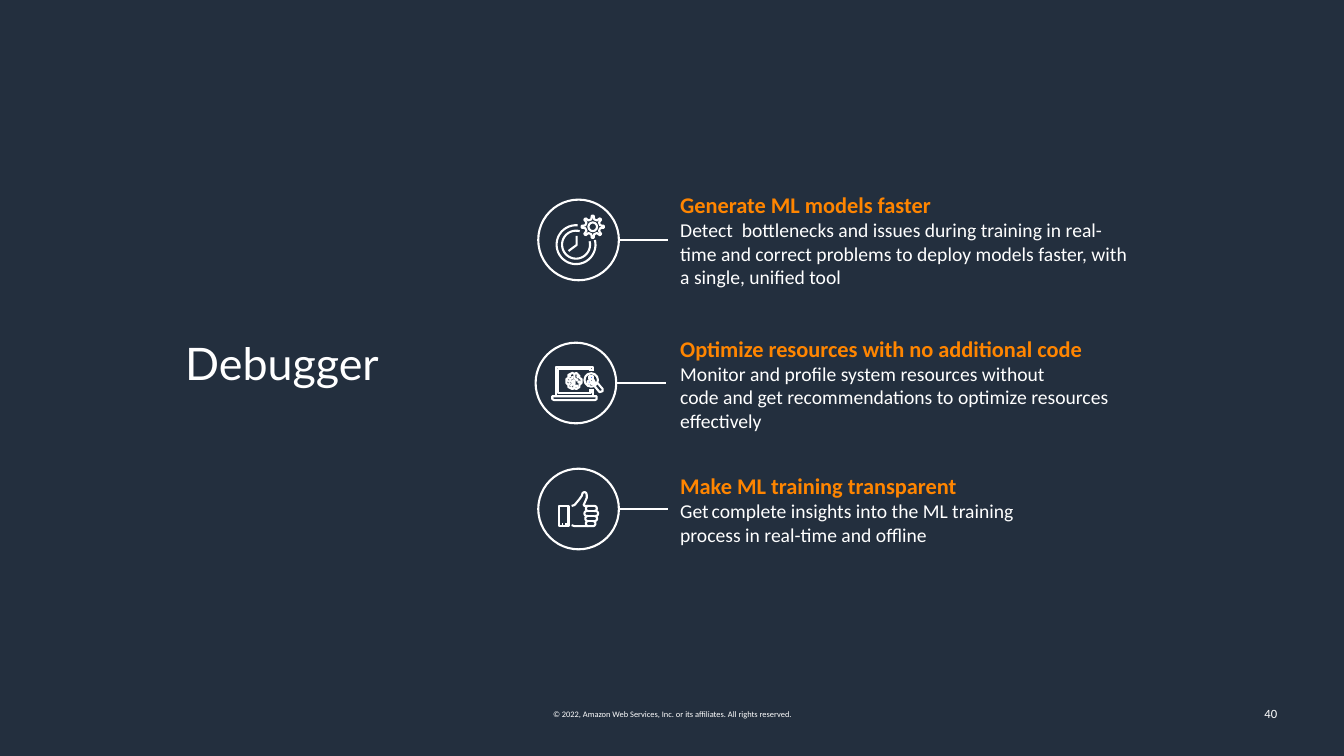
import math
from dataclasses import dataclass
from typing import Any

import pptx
import pptx.dml.color
import pptx.enum.shapes
import pptx.enum.text
import pptx.oxml
import pptx.oxml.ns
import pptx.util

Pt = pptx.util.Pt
SHAPE = pptx.enum.shapes.MSO_SHAPE
ALIGN = pptx.enum.text.PP_ALIGN
ANCHOR = pptx.enum.text.MSO_ANCHOR
Points = list[tuple[float, float]]

COLORS = {"navy": "232F3E", "white": "FFFFFF", "orange": "FF8500", "blue": "527FFF"}
HEADING = {"size": Pt(16), "name": "Calibri", "bold": True}
BODY = {"size": Pt(14), "name": "Calibri", "bold": False}
RADIUS = 28.8
LINK = 35.3


@dataclass
class Stroke:
    points: Points
    closed: bool = False
    fill: str | None = None


@dataclass
class Ring:
    x: float
    y: float
    r: float
    fill: str | None = None


@dataclass
class Benefit:
    center: tuple[float, float]
    box: tuple[float, float, float, float]
    heading: str
    body: list[tuple[str, float]]
    icon: list[Stroke | Ring]


def arc(x: float, y: float, r: float, start: float, end: float) -> Points:
    """Points on an arc; degrees run clockwise from the right."""
    n = max(8, round(abs(end - start) / 9))
    angles = [math.radians(start + (end - start) * i / n) for i in range(n + 1)]
    return [(x + r * math.cos(a), y + r * math.sin(a)) for a in angles]


def gear(x: float, y: float, inner: float, outer: float, teeth: int) -> Points:
    corners = [(-11, inner), (-5, outer), (5, outer), (11, inner)]
    polar = [(math.radians(360 * k / teeth + a), r) for k in range(teeth) for a, r in corners]
    return [(x + r * math.cos(a), y + r * math.sin(a)) for a, r in polar]


def clock_icon() -> list[Stroke | Ring]:
    return [
        Stroke([(-7.2, 7.9), (-1.4, 3.6), (-1.4, -2.9)]),
        Stroke(gear(10.1, -9.4, 5.4, 7.9, 8), closed=True),
        Ring(10.1, -9.4, 3.1),
        Stroke(arc(-1.8, 3.4, 13.9, -85, -374)),
        Stroke(arc(-1.8, 3.4, 10, -75, -374)),
    ]


def laptop_icon() -> list[Stroke | Ring]:
    base = [(-16.9, 9.4), (-16.9, 11.5), (-15.5, 12.2), (13.4, 12.2), (14.8, 11.5), (14.8, 9.4)]
    screen = [(10.4, 4.3), (10.4, 7.2), (-12.6, 7.2), (-12.6, -10.1), (10.4, -10.1), (10.4, -8.6)]
    lid = [(11.9, -8.6), (11.9, -11.5), (-14, -11.5), (-14, 9.4), (11.9, 9.4), (11.9, 4.3)]
    handle = [(15.5, 0), (19.1, 4.3), (19.1, 5.8), (16.9, 6.5), (13.3, 2.2)]
    square = [(9.7, -5), (11.9, -5), (11.9, -2.9), (9.7, -2.9)]
    triangle = [(12.6, -2.2), (11.2, 0.7), (14, 0.7)]
    brain = [
        [(-1.1, -6.5), (-2.5, -7.2), (-5.4, -5.8), (-5.4, -3.6), (-6.8, -2.9), (-6.8, 0),
         (-5.4, 1.4), (-5.4, 2.9), (-2.5, 4.3), (-1.1, 3.6), (-1.1, -1.4), (-2.5, -2.2)],
        [(0.4, -2.2), (-1.1, -3.6), (-1.1, -6.5), (0.4, -7.2), (2.5, -5), (2.5, -3.6), (4, -2.9),
         (4, 0), (2.5, 1.4), (2.5, 2.9), (0.4, 4.3), (-1.1, 3.6), (-1.1, -1.4)],
        [(-4, -1.4), (-4, -2.9), (-2.5, -3.6), (-2.5, -5)],
        [(-2.5, 0.7), (-2.5, -0.7), (-4, -1.4)],
        [(-4, -2.9), (-5.4, -3.6)],
        [(-4, -4.3), (-4, -6.5)],
        [(-6.8, -1.4), (-5.4, -2.2)],
        [(-5.4, 1.4), (-4, 0)],
        [(-4, 3.6), (-2.5, 2.9)],
        [(-4, 2.2), (-1.1, 0)],
        [(-5.4, -0.7), (-4, -1.4)],
        [(2.5, -0.7), (4, 0)],
        [(2.5, -4.3), (1.8, -4.3)],
        [(-1.1, 2.2), (0.4, 2.2)],
    ]
    nodes = [(1.4, -4.7), (0.7, 2.2), (2.2, -0.7), (0.7, -2.2)]
    return [
        Stroke(base, closed=True), Stroke(screen), Stroke(lid), Ring(10.9, -2.2, 4.8),
        Stroke(handle), Stroke(square, True, "blue"), Ring(9.5, -0.7, 1.2, "blue"),
        Stroke(triangle, True, "blue"),
        *[Stroke(fold) for fold in brain], *[Ring(x, y, 0.4) for x, y in nodes],
    ]


def thumb_icon() -> list[Stroke | Ring]:
    cuff = [(-13.7, -2.2), (-7.2, -2.2), (-7.2, 12.2), (-13.7, 12.2)]
    hand = [(-5, -2.2), (-2.9, -2.9), (0.7, -7.2), (2.2, -9.4), (2.9, -11.5), (4.3, -12.2),
            (5.4, -11.5), (5.8, -10.1), (5.8, -7.9), (3.6, -2.9), (4.3, -2.2)]
    fingers = [(7, 11.2), (6, 12.1), (6.6, 11.4), (7, 10.2)]
    tops = [-0.4 + 3.6 * i for i in range(len(fingers))]
    for (_, tip), y in zip(fingers, tops):
        hand += arc(tip, y, 1.8, -90, 90)
    hand += [(-0.7, 12.2), (-2.9, 12.2), (-5, 11.5)]
    gaps = [(5.8, 10.8, 1.4), (6.5, 10.8, 5), (6.5, 10.1, 8.6)]
    buttons = [(-9.4, -8.6, 10.8), (-11.5, -10.8, 10.8)]
    return [
        Stroke(cuff, closed=True), Stroke(hand),
        *[Stroke([(x1, y), (x2, y)]) for x1, x2, y in gaps + buttons],
        *[Stroke(arc(knuckle, y, 1.8, 270, 90)) for (knuckle, _), y in zip(fingers, tops)],
    ]


def rgb(color: str) -> pptx.dml.color.RGBColor:
    return pptx.dml.color.RGBColor.from_string(COLORS[color])


def assign(obj: Any, fmt: dict[str, Any]) -> None:
    for name, value in fmt.items():
        setattr(obj, name, value)


def add_run(p: Any, text: str, color: str, fmt: dict[str, Any]) -> None:
    """Add text to a paragraph; a newline becomes a line break."""
    for i, line in enumerate(text.split("\n")):
        if i:
            p.add_line_break()
        r = p.add_run()
        r.text = line
        assign(r.font, fmt)
        r.font.color.rgb = rgb(color)


def add_box(shapes: Any, box: tuple[float, float, float, float], fmt: dict[str, Any]) -> Any:
    tf = shapes.add_textbox(*map(Pt, box)).text_frame
    assign(tf, {"word_wrap": True, "vertical_anchor": ANCHOR.MIDDLE, **fmt})
    return tf


def outline(sp: Any, fill: str | None = None) -> None:
    sp.shadow.inherit = False
    if fill:
        sp.fill.solid()
        sp.fill.fore_color.rgb = rgb(fill)
    else:
        sp.fill.background()
    sp.line.color.rgb = rgb("white")
    sp.line.width = Pt(1.5)


def draw_line(shapes: Any, start: tuple[float, float], end: tuple[float, float]) -> None:
    c = shapes.add_connector(pptx.enum.shapes.MSO_CONNECTOR.STRAIGHT, *map(Pt, start + end))
    c.line.color.rgb = rgb("white")
    c.line.width = Pt(1.5)
    c._element.spPr.append(pptx.oxml.parse_xml(f"<a:effectLst {pptx.oxml.ns.nsdecls('a')}/>"))


def draw_mark(shapes: Any, mark: Stroke | Ring, cx: float, cy: float) -> None:
    if isinstance(mark, Ring):
        size = Pt(2 * mark.r)
        sp = shapes.add_shape(SHAPE.OVAL, Pt(cx + mark.x - mark.r), Pt(cy + mark.y - mark.r), size, size)
        outline(sp, mark.fill)
        return
    points = [(cx + x, cy + y) for x, y in mark.points]
    if len(points) == 2:
        draw_line(shapes, *points)
        return
    (x, y), *rest = [(Pt(px), Pt(py)) for px, py in points]
    builder = shapes.build_freeform(x, y)
    builder.add_line_segments(rest, close=mark.closed)
    outline(builder.convert_to_shape(), mark.fill)


def draw_benefit(s: Any, b: Benefit) -> None:
    tf = add_box(s.shapes, b.box, {})
    add_run(tf.paragraphs[0], b.heading, "orange", HEADING)
    p = tf.add_paragraph()
    for text, size in b.body:
        add_run(p, text, "white", {**BODY, "size": Pt(size)})
    cx, cy = b.center
    shapes = s.shapes.add_group_shape().shapes
    for mark in [*b.icon, Ring(0, 0, RADIUS)]:
        draw_mark(shapes, mark, cx, cy)
    draw_line(shapes, (cx + RADIUS, cy), (cx + RADIUS + LINK, cy))


BENEFITS = [
    Benefit((413.3, 171.4), (478.8, 129.6, 339.8, 83.5), "Generate ML models faster",
            [("Detect  bottlenecks and issues during training in real-time and correct problems "
              "to deploy models faster, with a single, unified tool", 14)], clock_icon()),
    Benefit((411.4, 273.6), (478.8, 227.5, 347.8, 92.9), "Optimize resources with no additional code",
            [("Monitor and profile system resources without\ncode and get recommendations "
              "to optimize resources effectively", 14)], laptop_icon()),
    Benefit((413.3, 363.6), (478.8, 334.1, 285.1, 59), "Make ML training transparent",
            [("Get", 14), (" ", 9), ("complete insights into the ML training process "
                                     "in real-time and offline", 14)], thumb_icon()),
]


def main() -> None:
    prs = pptx.Presentation()
    assign(prs, {"slide_width": Pt(960), "slide_height": Pt(540)})
    s = prs.slides.add_slide(prs.slide_layouts[5])
    s.background.fill.solid()
    s.background.fill.fore_color.rgb = rgb("navy")

    title = s.shapes.title
    assign(title, {"left": Pt(118.8), "top": Pt(200.2), "width": Pt(179.3), "height": Pt(123.1)})
    assign(title.text_frame, {"margin_left": Pt(13.4), "vertical_anchor": ANCHOR.MIDDLE,
                              "word_wrap": True, "auto_size": pptx.enum.text.MSO_AUTO_SIZE.NONE})
    p = title.text_frame.paragraphs[0]
    assign(p, {"alignment": ALIGN.LEFT, "line_spacing": 0.9})
    add_run(p, "Debugger", "white", {"size": Pt(32), "name": "Lato"})

    for b in BENEFITS:
        draw_benefit(s, b)

    footers = [
        ("© 2022, Amazon Web Services, Inc. or its affiliates. All rights reserved.", 6, ALIGN.CENTER,
         (378, 503.3, 204.5, 14.4), {"word_wrap": False, "vertical_anchor": ANCHOR.TOP}),
        ("40", 9, ALIGN.RIGHT, (703.4, 495.4, 216, 28.8), {}),
    ]
    for text, size, align, box, fmt in footers:
        p = add_box(s.shapes, box, fmt).paragraphs[0]
        p.alignment = align
        add_run(p, text, "white", {"size": Pt(size), "name": "Calibri"})
    prs.save("out.pptx")


if __name__ == "__main__":
    main()
